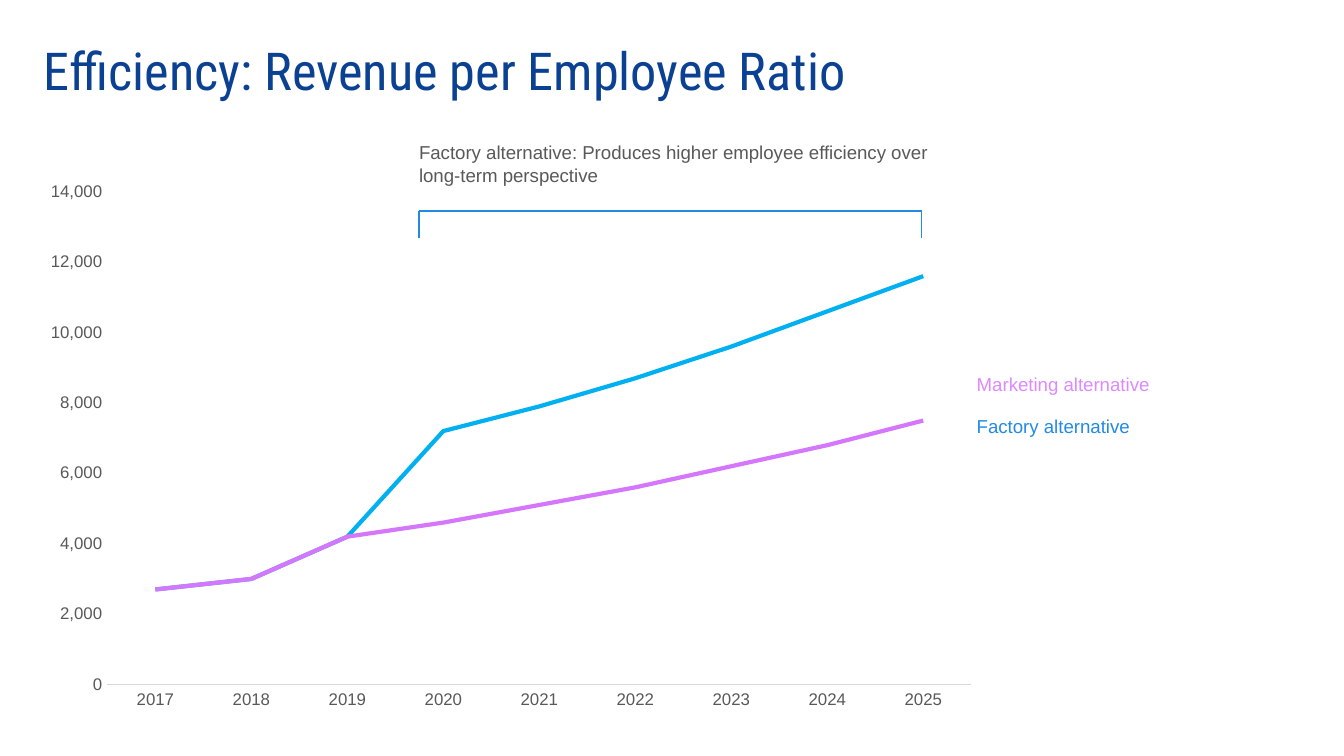
from dataclasses import dataclass

from lxml import etree
from pptx import Presentation
from pptx.chart.data import CategoryChartData
from pptx.dml.color import RGBColor
from pptx.enum.chart import XL_CHART_TYPE as ChartType, XL_TICK_MARK as Tick
from pptx.enum.shapes import MSO_CONNECTOR as Connector
from pptx.enum.text import MSO_ANCHOR as Anchor, MSO_AUTO_SIZE as AutoSize, PP_ALIGN as Align
from pptx.oxml.ns import qn
from pptx.util import Cm, Pt


@dataclass(frozen=True)
class Theme:
    heading: RGBColor = RGBColor.from_string("0A4193")
    body: RGBColor = RGBColor.from_string("595959")
    axis: RGBColor = RGBColor.from_string("D9D9D9")
    accent: RGBColor = RGBColor.from_string("228AE5")
    factory: RGBColor = RGBColor.from_string("00B0F0")
    marketing: RGBColor = RGBColor.from_string("D477FD")
    marketing_text: RGBColor = RGBColor.from_string("DD89FF")
    heading_font: str = "Roboto Condensed"
    body_font: str = "Arial"
    heading_size: Pt = Pt(28)
    body_size: Pt = Pt(10)
    axis_size: Pt = Pt(9)
    thin: Pt = Pt(0.75)
    thick: Pt = Pt(2.25)


@dataclass(frozen=True)
class Box:
    left: float
    top: float
    width: float
    height: float

    def inner(self, dx, dy, width, height):
        return Box(self.left + dx, self.top + dy, width, height)

    def lengths(self):
        return [Cm(v) for v in (self.left, self.top, self.width, self.height)]


THEME = Theme()
YEARS = [str(year) for year in range(2017, 2026)]
REVENUE_PER_EMPLOYEE = {
    "Factory alternative": (THEME.factory, [2700, 3000, 4200, 7200, 7900, 8700, 9600, 10600, 11600]),
    "Marketing alternative": (THEME.marketing, [2700, 3000, 4200, 4600, 5100, 5600, 6200, 6800, 7500]),
}


def apply(target, values):
    for name, value in values.items():
        setattr(target, name, value)


def style_font(font, color, size, name=THEME.body_font):
    apply(font, {"size": size, "name": name, "bold": False})
    font.color.rgb = color


def add_label(slide, box, wording, color):
    label = slide.shapes.add_textbox(*box.lengths())
    apply(label.text_frame, {"word_wrap": True, "text": wording})
    style_font(label.text_frame.paragraphs[0].runs[0].font, color, THEME.body_size)


def place_title(slide, box, wording):
    title = slide.shapes.title
    apply(title, dict(zip(("left", "top", "width", "height"), box.lengths())))
    frame = title.text_frame
    margins = dict.fromkeys(("margin_left", "margin_top", "margin_right", "margin_bottom"), Cm(0.25))
    apply(frame, {"text": wording, "word_wrap": True, "auto_size": AutoSize.NONE,
                  "vertical_anchor": Anchor.MIDDLE, **margins})
    heading = frame.paragraphs[0]
    heading.alignment = Align.LEFT
    style_font(heading.runs[0].font, THEME.heading, THEME.heading_size, THEME.heading_font)


def fix_plot_area(chart, x, y, w, h):
    plot_area = chart._chartSpace.chart.plotArea
    for old in plot_area.findall(qn("c:layout")):
        plot_area.remove(old)
    layout = etree.Element(qn("c:layout"))
    manual = etree.SubElement(layout, qn("c:manualLayout"))
    settings = {"layoutTarget": "inner", "xMode": "edge", "yMode": "edge",
                "x": x, "y": y, "w": w, "h": h}
    for tag, value in settings.items():
        etree.SubElement(manual, qn(f"c:{tag}")).set("val", str(value))
    plot_area.insert(0, layout)


def place_ratio_chart(slide, box):
    ratios = CategoryChartData(number_format="#,##0")
    ratios.categories = YEARS
    for name, (_, values) in REVENUE_PER_EMPLOYEE.items():
        ratios.add_series(name, values)
    chart = slide.shapes.add_chart(ChartType.LINE, *box.lengths(), ratios).chart
    apply(chart, {"has_legend": False, "has_title": False})
    style_font(chart.font, THEME.body, THEME.body_size)
    for axis in (chart.category_axis, chart.value_axis):
        apply(axis, {"major_tick_mark": Tick.NONE, "minor_tick_mark": Tick.NONE,
                     "has_major_gridlines": False})
        style_font(axis.tick_labels.font, THEME.body, THEME.axis_size)
    apply(chart.value_axis, {"minimum_scale": 0, "maximum_scale": 14000, "major_unit": 2000})
    apply(chart.value_axis.tick_labels, {"number_format": "#,##0", "number_format_is_linked": False})
    chart.value_axis.format.line.fill.background()
    year_line = chart.category_axis.format.line
    year_line.color.rgb = THEME.axis
    year_line.width = THEME.thin
    chart.plots[0].vary_by_categories = False
    for series, (color, _) in zip(chart.plots[0].series, REVENUE_PER_EMPLOYEE.values()):
        series.smooth = False
        series.format.line.color.rgb = color
        series.format.line.width = THEME.thick
    fix_plot_area(chart, 0.08, 0.04, 0.9, 0.88)


def place_series_names(slide, box):
    names = [("Marketing alternative", THEME.marketing_text), ("Factory alternative", THEME.accent)]
    row = box.height / len(names)
    for index, (wording, color) in enumerate(names):
        add_label(slide, box.inner(0, index * row, box.width, row), wording, color)


def place_bracket(slide, box):
    right, bottom = box.left + box.width, box.top + box.height
    corners = [(box.left, bottom), (box.left, box.top), (right, box.top), (right, bottom)]
    for start, end in zip(corners, corners[1:]):
        edge = slide.shapes.add_connector(Connector.STRAIGHT, *map(Cm, start + end))
        edge.line.color.rgb = THEME.accent
        edge.line.width = THEME.thin
        etree.SubElement(edge._element.spPr, qn("a:effectLst"))


def place_long_term_note(slide, box):
    add_label(slide, box.inner(0, 0, box.width, 1.12),
              "Factory alternative: Produces higher employee efficiency over long-term perspective",
              THEME.body)
    place_bracket(slide, box.inner(0.25, 1.45, 9.5, 0.5))


def build_efficiency_slide(deck):
    slide = deck.slides.add_slide(deck.slide_layouts.get_by_name("Title Only"))
    page = Box(0.58, 0.79, 22.86, 13)
    place_title(slide, page.inner(0, 0, page.width, 1.04), "Efficiency: Revenue per Employee Ratio")
    place_ratio_chart(slide, page.inner(0, 2.41, 18.14, 10.59))
    place_series_names(slide, page.inner(17.63, 6.14, 4.52, 1.58))
    place_long_term_note(slide, page.inner(7.09, 1.75, 10.59, 1.95))


def main():
    deck = Presentation()
    apply(deck, {"slide_width": Cm(25.4), "slide_height": Cm(14.29)})
    build_efficiency_slide(deck)
    deck.save("out.pptx")


if __name__ == "__main__":
    main()
